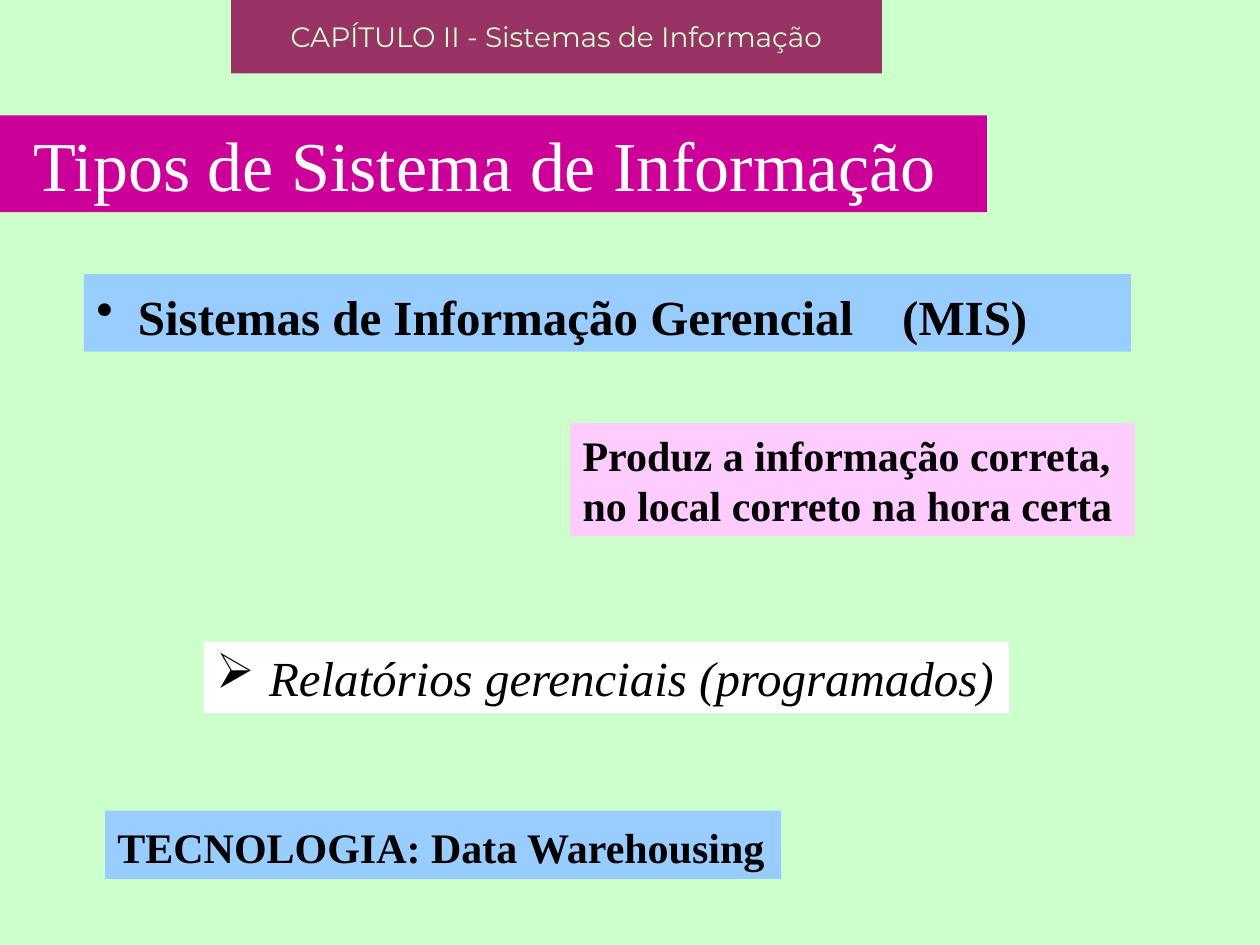
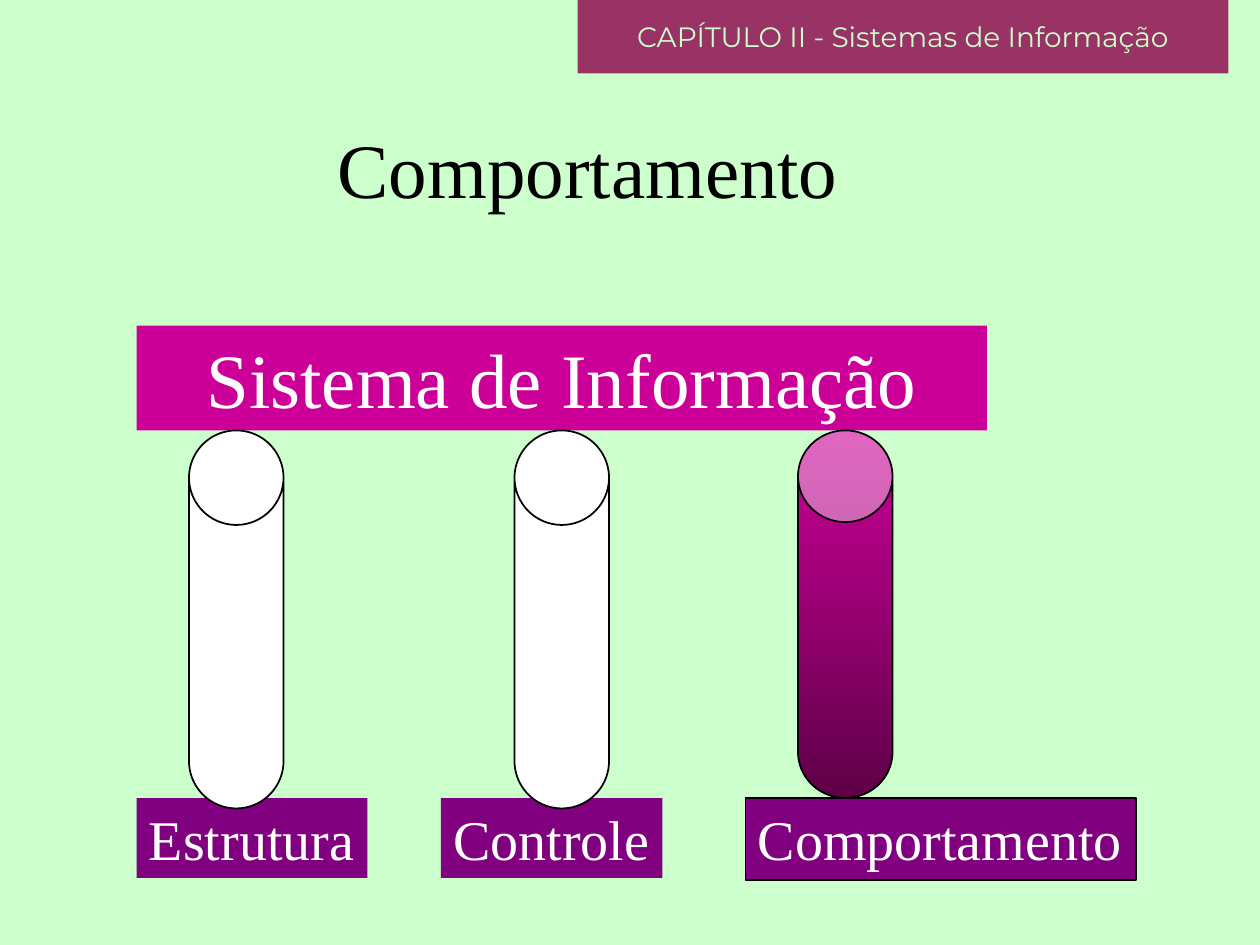
from dataclasses import dataclass
from typing import Optional

from lxml.etree import SubElement
from pptx import Presentation
from pptx.dml.color import RGBColor
from pptx.enum.shapes import MSO_SHAPE
from pptx.enum.text import MSO_ANCHOR, MSO_AUTO_SIZE, PP_ALIGN
from pptx.oxml.ns import qn
from pptx.util import Inches, Pt

# Shared look
COLORS = {
    "page": "CCFFCC", "band": "993366", "magenta": "CC0099", "deep": "5E0047",
    "blue": "99CCFF", "pink": "FFCCFF", "purple": "800080",
    "white": "FFFFFF", "black": "000000",
}
SERIF, SANS = "Times New Roman", "Montserrat"
COLS, ROWS = 120, 90  # the slide's grid
CHAPTER = "CAPÍTULO II - Sistemas de Informação"
TITLE_ONLY = 5

prs = Presentation()
prs.slide_width, prs.slide_height = Inches(10), Inches(7.5)


@dataclass
class Box:
    """Place on the grid: column, row, columns wide, rows high."""
    col: float
    row: float
    cols: float
    rows: float

    def emu(self) -> tuple:
        x, y = prs.slide_width / COLS, prs.slide_height / ROWS
        return (int(self.col * x), int(self.row * y),
                int(self.cols * x), int(self.rows * y))


@dataclass
class Style:
    size: float
    color: str = "black"
    font: str = SERIF
    bold: bool = False
    italic: bool = False
    align: PP_ALIGN = PP_ALIGN.LEFT
    anchor: MSO_ANCHOR = MSO_ANCHOR.TOP
    spacing: Optional[float] = None
    bullet: str = ""
    indent: float = 0  # inches from bullet to text
    wrap: bool = False


@dataclass
class Panel:
    box: Box
    fill: str
    lines: list
    style: Style
    line: str = ""


@dataclass
class Pillar:
    box: Box
    cap: float
    shaded: bool = False


def rgb(name: str) -> RGBColor:
    return RGBColor.from_string(COLORS[name])


def add_run(p, text: str, style: Style, gap: float = 0) -> None:
    """Add a run; gap is extra letter spacing in points."""
    r = p.add_run()
    r.text = text
    f = r.font
    f.name, f.size, f.color.rgb = style.font, Pt(style.size), rgb(style.color)
    f.bold, f.italic = style.bold, style.italic
    if gap:
        r._r.get_or_add_rPr().set("spc", str(int(gap * 100)))


def write(tf, lines: list, style: Style) -> None:
    """Fill a text frame; a line is a string or a list of (text, gap) runs."""
    tf.auto_size = MSO_AUTO_SIZE.NONE
    tf.word_wrap = style.wrap
    tf.vertical_anchor = style.anchor
    for i, line in enumerate(lines):
        p = tf.paragraphs[0] if i == 0 else tf.add_paragraph()
        p.alignment = style.align
        if style.spacing:
            p.line_spacing = style.spacing
        if style.bullet:
            ppr = p._p.get_or_add_pPr()
            ppr.set("marL", str(Inches(style.indent)))
            ppr.set("indent", str(-Inches(style.indent)))
            SubElement(ppr, qn("a:buChar"), char=style.bullet)
        for text, gap in [(line, 0)] if isinstance(line, str) else line:
            add_run(p, text, style, gap)


def add_shape(s, kind: MSO_SHAPE, box: Box, fill: str, line: str = ""):
    sp = s.shapes.add_shape(kind, *box.emu())
    sp.shadow.inherit = False
    sp.fill.solid()
    sp.fill.fore_color.rgb = rgb(fill)
    if line:
        sp.line.color.rgb = rgb(line)
        sp.line.width = Pt(1)
    else:
        sp.line.fill.background()
    return sp


def add_panel(s, panel: Panel) -> None:
    sp = add_shape(s, MSO_SHAPE.RECTANGLE, panel.box, panel.fill, panel.line)
    write(sp.text_frame, panel.lines, panel.style)


def add_pillar(s, pillar: Pillar) -> None:
    sp = add_shape(s, MSO_SHAPE.CAN, pillar.box, "white", "black")
    sp.adjustments[0] = pillar.cap
    if pillar.shaded:
        sp.fill.gradient()
        sp.fill.gradient_angle = 270
        for stop, name, at in zip(sp.fill.gradient_stops, ("magenta", "deep"), (0, 1)):
            stop.color.rgb, stop.position = rgb(name), at


def add_slide(title: str, box: Box, style: Style, band_col: float, fill: str = ""):
    """Start a slide with its title and the chapter band."""
    s = prs.slides.add_slide(prs.slide_layouts[TITLE_ONLY])
    sp = s.shapes.title
    sp.left, sp.top, sp.width, sp.height = box.emu()
    if fill:
        sp.fill.solid()
        sp.fill.fore_color.rgb = rgb(fill)
    write(sp.text_frame, [title], style)
    add_panel(s, Panel(Box(band_col, 0, 62, 7), "band", [CHAPTER], BAND))
    return s


CENTER, MIDDLE = PP_ALIGN.CENTER, MSO_ANCHOR.MIDDLE
BAND = Style(16, "page", SANS, align=CENTER, anchor=MIDDLE, wrap=True)
HEADING = Style(28, bold=True, spacing=1.1, bullet="•", indent=0.33, wrap=True)
NOTE = Style(24, bold=True)
REPORT = Style(28, italic=True, bullet="➢", indent=0.42)
TECHNOLOGY = Style(24, bold=True, spacing=1.1)
LABEL = Style(32, "white")

prs.slide_master.background.fill.solid()
prs.slide_master.background.fill.fore_color.rgb = rgb("page")

# Slide 1: management information systems
s = add_slide("Tipos de Sistema de Informação ", Box(0, 11, 94, 9.2),
              Style(40, "white", align=CENTER, wrap=True), 22, "magenta")
for panel in (
    Panel(Box(8, 26.1, 99.7, 7.4), "blue",
          [[("Sistemas de Informação Gerencial", 0), (" ", 21), ("(MIS)", 0)]], HEADING),
    Panel(Box(54.3, 40.3, 53.8, 10.8), "pink",
          ["Produz a informação correta, ", "no local correto na hora certa"], NOTE),
    Panel(Box(19.4, 61.1, 76.7, 6.8), "white",
          ["Relatórios gerenciais (programados)"], REPORT),
    Panel(Box(10, 77.2, 64.4, 6.5), "blue",
          ["TECNOLOGIA: Data Warehousing"], TECHNOLOGY),
):
    add_panel(s, panel)

# Slide 2: the system resting on three pillars
s = add_slide("Comportamento", Box(5, 11, 102, 10),
              Style(44, align=CENTER, anchor=MIDDLE, wrap=True), 55)
add_panel(s, Panel(Box(13, 31, 81, 10), "magenta", ["Sistema de Informação"],
                   Style(44, "white", align=CENTER, wrap=True)))

# Labels at equal steps
LABELS = (("Estrutura", 22, 7.6, ""), ("Controle", 21.1, 7.6, ""),
          ("Comportamento", 37.2, 7.8, "black"))
for i, (text, cols, rows, line) in enumerate(LABELS):
    add_panel(s, Panel(Box(13 + 29 * i, 76, cols, rows), "purple", [text], LABEL, line))

# Pillars, the highlighted one first
for pillar in (Pillar(Box(76, 41, 9, 35), 0.97, shaded=True),
               Pillar(Box(49, 41, 9, 36), 1),
               Pillar(Box(18, 41, 9, 36), 1)):
    add_pillar(s, pillar)

prs.save("out.pptx")
